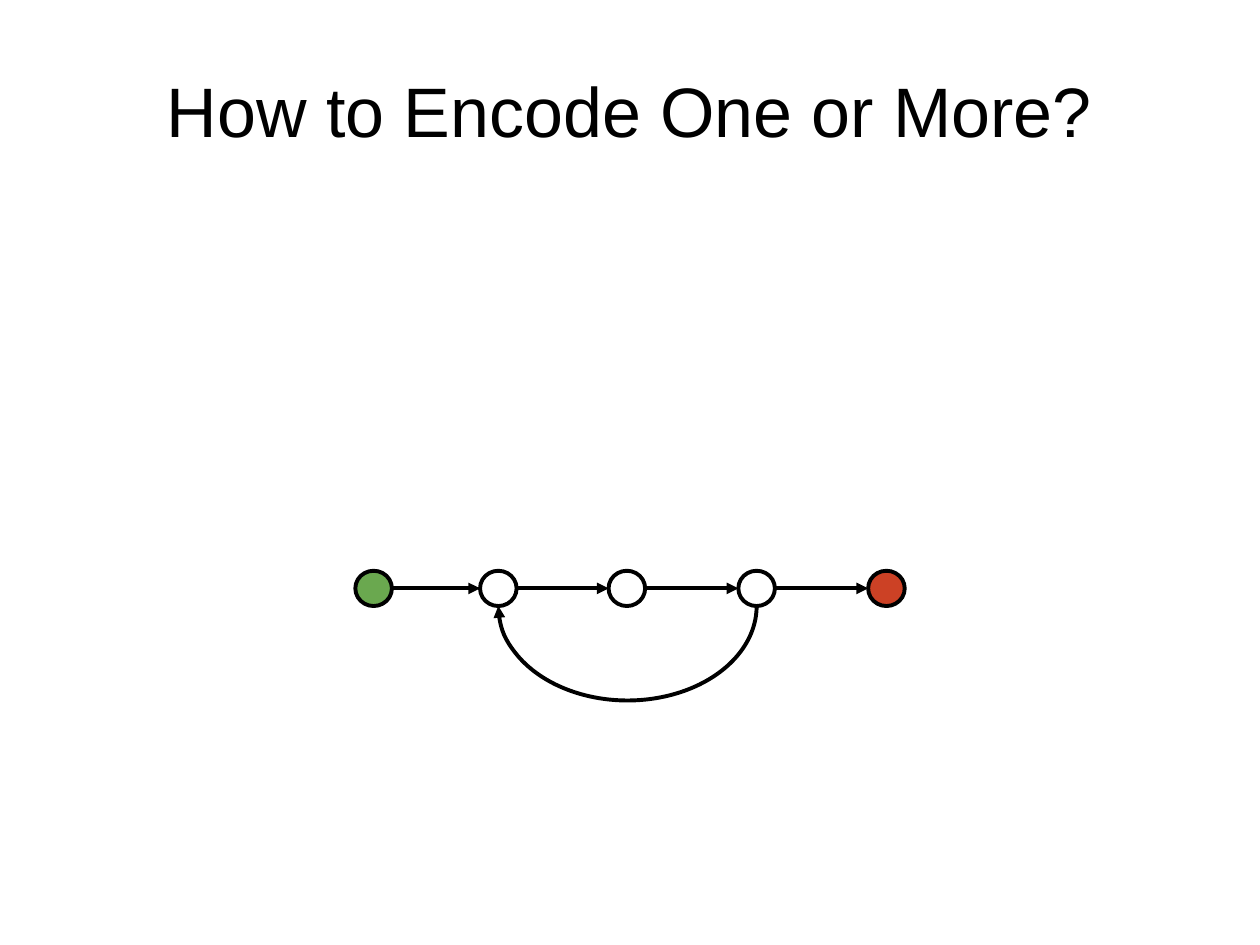
import dataclasses
import itertools

import lxml.etree
import pptx
import pptx.dml.color
import pptx.enum.shapes
import pptx.enum.text
import pptx.oxml.ns
import pptx.util

Inches = pptx.util.Inches
Shape = pptx.enum.shapes.MSO_SHAPE
qn = pptx.oxml.ns.qn


@dataclasses.dataclass(frozen=True)
class Theme:
    font: str = "Arial"
    title: int = 40
    stroke: float = 2.25
    ink: str = "000000"
    start: str = "6AA84F"
    state: str = "FFFFFF"
    final: str = "CC4125"


THEME = Theme()


def color(code):
    return pptx.dml.color.RGBColor.from_string(code)


def stroke(item):
    item.line.color.rgb = color(THEME.ink)
    item.line.width = pptx.util.Pt(THEME.stroke)


def point(item):
    """Put a triangle head on the far end of a line."""
    line = item.line._get_or_add_ln()
    lxml.etree.SubElement(line, qn("a:tailEnd"), type="triangle")


def title(slide, text, left, top, width, height):
    box = slide.shapes.add_textbox(
        Inches(left), Inches(top), Inches(width), Inches(height))
    frame = box.text_frame
    frame.word_wrap = True
    frame.vertical_anchor = pptx.enum.text.MSO_ANCHOR.MIDDLE
    para = frame.paragraphs[0]
    para.text = text
    para.alignment = pptx.enum.text.PP_ALIGN.CENTER
    para.font.name = THEME.font
    para.font.size = pptx.util.Pt(THEME.title)
    para.font.color.rgb = color(THEME.ink)


def node(slide, left, top, width, height, fill):
    oval = slide.shapes.add_shape(
        Shape.OVAL, Inches(left), Inches(top), Inches(width), Inches(height))
    oval.shadow.inherit = False
    oval.fill.solid()
    oval.fill.fore_color.rgb = color(fill)
    stroke(oval)


def arrow(slide, start, end, level):
    line = slide.shapes.add_connector(
        pptx.enum.shapes.MSO_CONNECTOR.STRAIGHT,
        Inches(start), Inches(level), Inches(end), Inches(level))
    lxml.etree.SubElement(line._element.spPr, qn("a:effectLst"))
    stroke(line)
    point(line)


def loop(slide, left, right, level, depth):
    """Draw the lower half of an oval, leading from right back to left."""
    arc = slide.shapes.add_shape(
        Shape.ARC, Inches(left), Inches(level - depth),
        Inches(right - left), Inches(2 * depth))
    arc.shadow.inherit = False
    arc.fill.background()
    # Arc angles count 60000ths of a degree, scaled here by 100000.
    arc.adjustments[0] = 0
    arc.adjustments[1] = 180 * 0.6
    stroke(arc)
    point(arc)


def graph(slide, left, top, width, height):
    """Place a row of states with a loop that repeats the middle ones."""
    wide, high, depth = 0.29, 0.28, height - 0.28
    last = width - wide
    spots = [left + step for step in (0, 0.99, 2.01, 3.04, last)]
    fills = [THEME.start] + [THEME.state] * 3 + [THEME.final]
    for spot, fill in zip(spots, fills):
        node(slide, spot, top, wide, high, fill)
    for one, two in itertools.pairwise(spots):
        arrow(slide, one + wide, two, top + high / 2)
    loop(slide, spots[1] + wide / 2, spots[3] + wide / 2, top + high, depth)


def main():
    deck = pptx.Presentation()
    deck.slide_width, deck.slide_height = Inches(10), Inches(7.5)
    slide = deck.slides.add_slide(deck.slide_layouts[6])
    title(slide, "How to Encode One or More?", 0.51, 0.01, 8.97, 1.72)
    graph(slide, 2.82, 4.53, 4.36, 1.03)
    deck.save("out.pptx")


if __name__ == "__main__":
    main()
